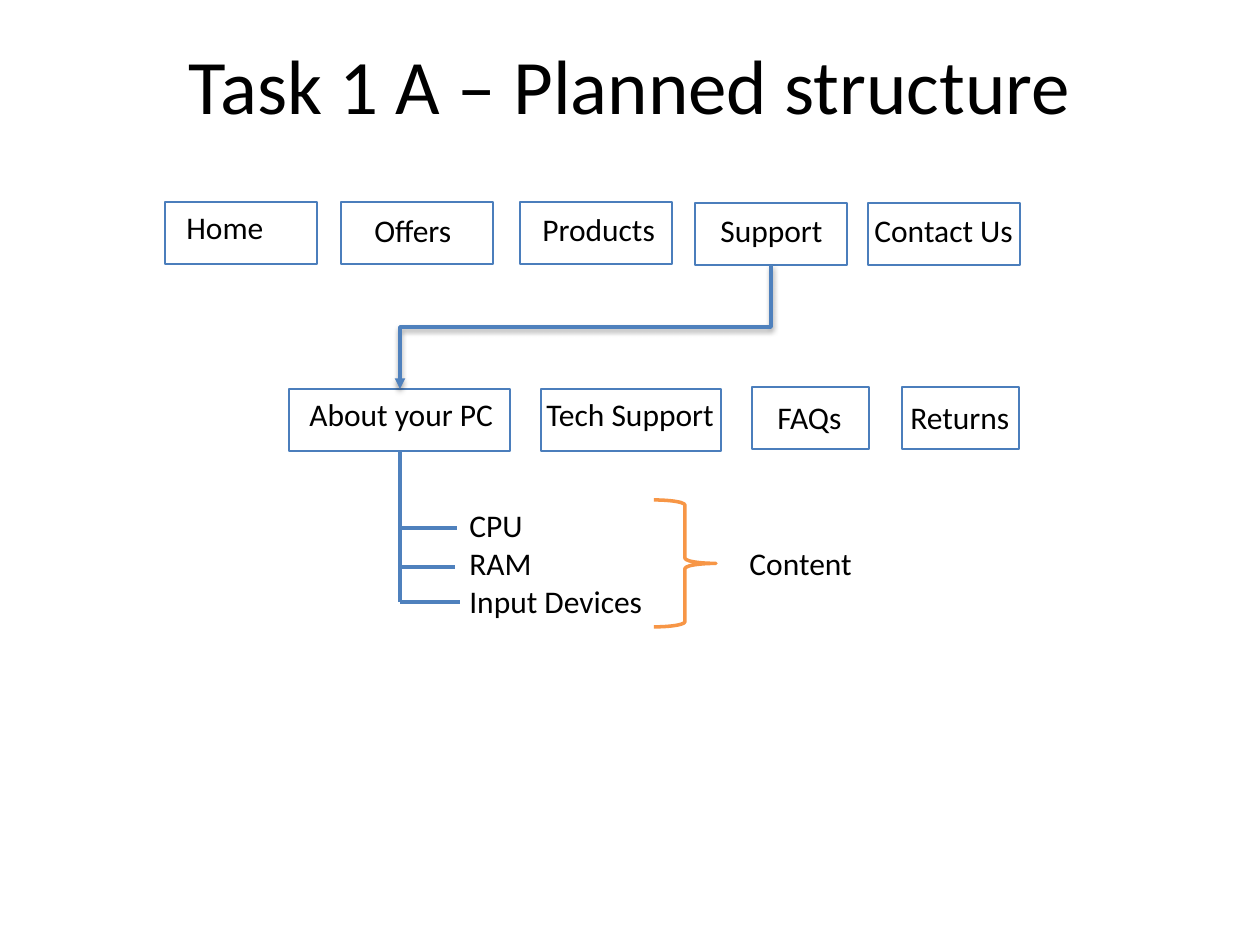
"""Build the planned site structure slide."""
from lxml import etree
from pptx import Presentation
from pptx import util as u
from pptx.dml.color import RGBColor
from pptx.enum import shapes, text
from pptx.oxml.ns import qn

HUES = {"ink": "000000", "edge": "4B7EBC", "link": "4F81BD", "brace": "F79646"}
TITLE = "Task 1 A – Planned structure"
PAGES = [
    ("Home", (165, 202, 152), (174, 202, 103)),
    ("Offers", (341, 202, 152), (362, 205, 103)),
    ("Products", (520, 202, 152), (530, 204, 139)),
    ("Support", (695, 203, 152), (708, 205, 129)),
    ("Contact Us", (868, 203, 152), (862, 205, 165)),
    ("About your PC", (289, 389, 221), (297, 389, 213)),
    ("Tech Support", (541, 389, 180), (534, 389, 195)),
    ("FAQs", (752, 387, 117), (765, 392, 89)),
    ("Returns", (902, 387, 117), (898, 392, 126)),
]
NOTES = [
    (["CPU", "RAM", "Input Devices"], (457, 500, 200, 127)),
    (["Content"], (737, 538, 130, 50)),
]
BOX_H, LABEL_H = 62, 50
STEM, TOP, BASE = 400, 451, 602
TWIGS = [(457, 528), (455, 567), (460, BASE)]
START, END = (771, 265), (STEM, 389)


def px(*vals):
    return [u.Emu(round(v * 914400 / 126)) for v in vals]


def hue(name):
    return RGBColor.from_string(HUES[name])


def put(obj, vals):
    for key, val in vals.items():
        setattr(obj, key, val)


def style(run, size):
    put(run.font, {"name": "Calibri", "size": u.Pt(size)})
    run.font.color.rgb = hue("ink")


def label(lines, area):
    frame = slide.shapes.add_textbox(*px(*area)).text_frame
    put(frame, {"word_wrap": False, "text": "\n".join(lines),
                "auto_size": text.MSO_AUTO_SIZE.SHAPE_TO_FIT_TEXT})
    for para in frame.paragraphs:
        style(para.runs[0], 18)


def outline(kind, area, color, width):
    shape = slide.shapes.add_shape(kind, *px(*area))
    shape.shadow.inherit = False
    shape.fill.background()
    shape.line.color.rgb = hue(color)
    shape.line.width = u.Pt(width)


def link(kind, start, end):
    line = slide.shapes.add_connector(kind, *px(*start, *end))
    line.line.color.rgb = hue("link")
    line.line.width = u.Pt(2)
    fx = etree.SubElement(line.element.spPr, qn("a:effectLst"))
    return line, fx


deck = Presentation()
put(deck, dict(zip(("slide_width", "slide_height"), px(1260, 945))))
slide = deck.slides.add_slide(deck.slide_layouts[5])

title = slide.shapes.title
put(title, dict(zip(("left", "top", "width", "height"), px(63, 5, 1134, 158))))
put(title.text_frame, {"text": TITLE, "vertical_anchor": text.MSO_ANCHOR.MIDDLE})
head = title.text_frame.paragraphs[0]
head.alignment = text.PP_ALIGN.CENTER
style(head.runs[0], 44)

for name, box, spot in PAGES:
    outline(shapes.MSO_SHAPE.RECTANGLE, (*box, BOX_H), "edge", 0.75)
    label([name], (*spot, LABEL_H))
for lines, area in NOTES:
    label(lines, area)
outline(shapes.MSO_SHAPE.RIGHT_BRACE, (654, 500, 62, 127), "brace", 2)

straight = shapes.MSO_CONNECTOR.STRAIGHT
link(straight, (STEM, TOP), (STEM, BASE))
for x, y in TWIGS:
    link(straight, (x, y), (STEM, y))

mid = [(a + b) / 2 for a, b in zip(START, END)]
half = [(END[1] - START[1]) / 2, (START[0] - END[0]) / 2]
bent, fx = link(shapes.MSO_CONNECTOR.ELBOW,
                [m - h for m, h in zip(mid, half)],
                [m + h for m, h in zip(mid, half)])
bent.element.spPr.find(qn("a:xfrm")).set("rot", "5400000")
etree.SubElement(bent.line._get_or_add_ln(), qn("a:tailEnd"), type="triangle")
shade = etree.SubElement(fx, qn("a:outerShdw"), blurRad="40000", dist="20000",
                         dir="5400000", rotWithShape="0")
tint = etree.SubElement(shade, qn("a:srgbClr"), val=HUES["ink"])
etree.SubElement(tint, qn("a:alpha"), val="38000")

deck.save("out.pptx")
